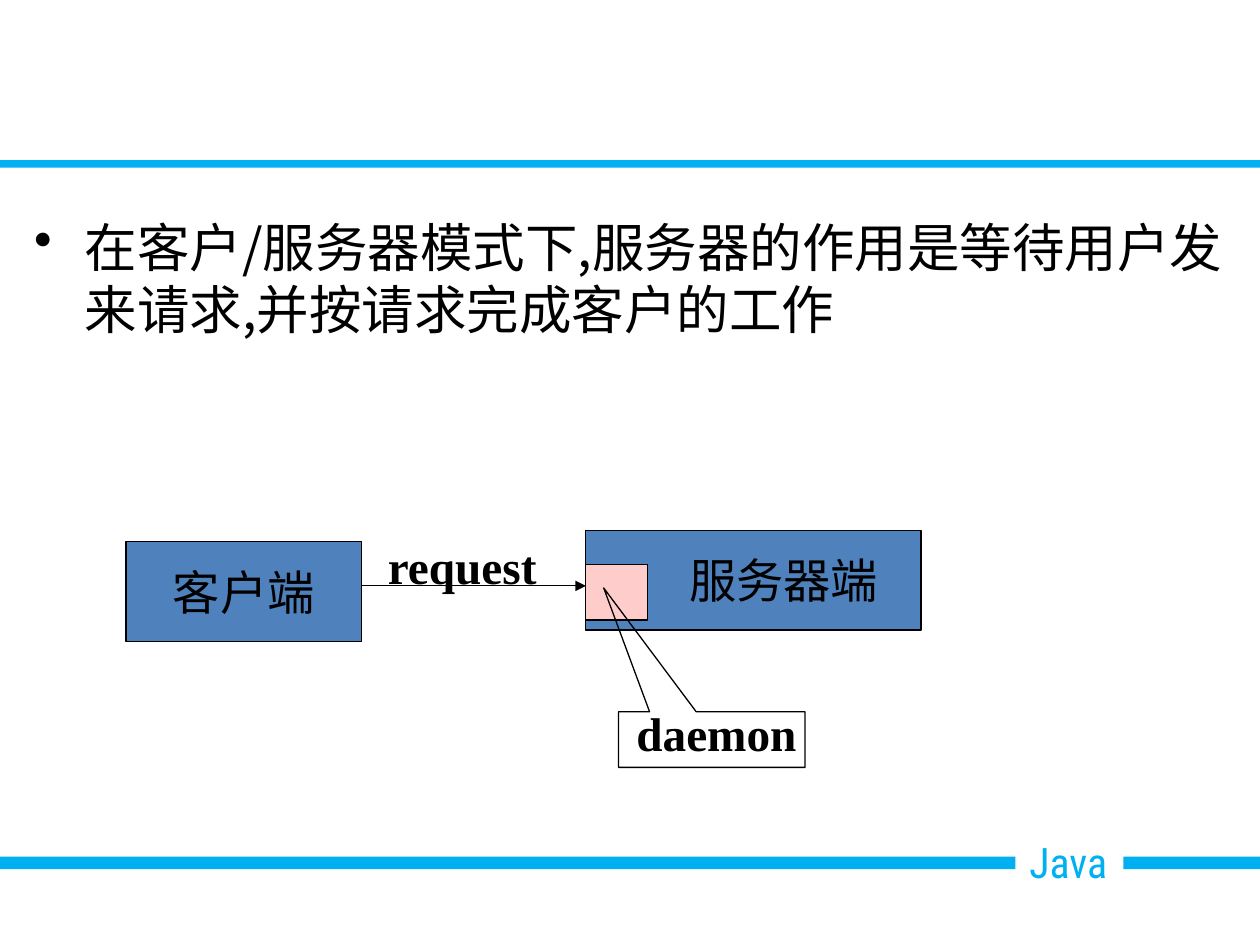
from lxml import etree
from pptx import Presentation
from pptx.dml.color import RGBColor
from pptx.enum.shapes import MSO_CONNECTOR, MSO_SHAPE
from pptx.enum.text import MSO_ANCHOR, PP_ALIGN
from pptx.oxml.ns import qn
from pptx.util import Cm, Pt

RECT = MSO_SHAPE.RECTANGLE
CALLOUT = MSO_SHAPE.RECTANGULAR_CALLOUT
STRAIGHT = MSO_CONNECTOR.STRAIGHT
MIDDLE = MSO_ANCHOR.MIDDLE
CENTER = PP_ALIGN.CENTER

COLORS = {"sky": "00B0F0", "blue": "4F81BD", "pink": "FFCCCC",
          "black": "000000", "white": "FFFFFF"}
SERIF = "Times New Roman"
SANS = "Noto Sans CJK SC"
LABEL = 27


def color(name):
    return RGBColor.from_string(COLORS[name])


def add_box(slide, at, fill=None, line=None, kind=RECT):
    box = slide.shapes.add_shape(kind, *map(Cm, at))
    box.shadow.inherit = False
    if fill:
        box.fill.solid()
        box.fill.fore_color.rgb = color(fill)
    else:
        box.fill.background()
    if line:
        box.line.color.rgb = color(line)
        box.line.width = Pt(0.75)
    else:
        box.line.fill.background()
    return box


def set_frame(shape, wrap=False, left=0.28):
    """Set the insets and wrapping, and return the first paragraph."""
    frame = shape.text_frame
    frame.word_wrap = wrap
    frame.margin_left, frame.margin_right = Cm(left), Cm(0.28)
    frame.margin_top = frame.margin_bottom = Cm(0.15)
    return frame.paragraphs[0]


def add_run(para, text, size, face=SERIF, bold=False, tint="black"):
    run = para.add_run()
    run.text = text
    font = run.font
    font.size, font.bold, font.name = Pt(size), bold, face
    font.color.rgb = color(tint)
    east = etree.SubElement(run._r.get_or_add_rPr(), qn("a:ea"))
    east.set("typeface", SANS)


def add_node(slide, at, text, left=0.28):
    """Add a blue box with its name centred to the right of the left inset."""
    node = add_box(slide, at, "blue", "black")
    para = set_frame(node, True, left)
    node.text_frame.vertical_anchor = MIDDLE
    para.alignment = CENTER
    add_run(para, text, LABEL)


def add_label(slide, at, text):
    box = slide.shapes.add_textbox(*map(Cm, at))
    add_run(set_frame(box), text, LABEL, bold=True)


def add_bullet(slide, at, text):
    box = slide.shapes.add_textbox(*map(Cm, at))
    para = set_frame(box, True)
    props = para._p.get_or_add_pPr()
    props.set("marL", str(Cm(1.02)))
    props.set("indent", str(Cm(-1.02)))
    mark = etree.SubElement(props, qn("a:buChar"))
    mark.set("char", "•")
    para.line_spacing = Pt(35.4)
    add_run(para, text, 30, SANS)


def add_arrow(slide, start, end):
    arrow = slide.shapes.add_connector(STRAIGHT, *map(Cm, start + end))
    arrow.line.color.rgb = color("black")
    arrow.line.width = Pt(0.75)
    head = etree.SubElement(arrow.line._get_or_add_ln(), qn("a:tailEnd"))
    head.set("type", "triangle")
    etree.SubElement(arrow._element.spPr, qn("a:effectLst"))


def add_frame(slide):
    """Add the two bars and the course tag at the foot."""
    add_box(slide, (0, 17.27, 25.4, 0.25), "sky")
    tag = add_box(slide, (20.47, 16.71, 2.18, 1.3), "white")
    tag.text_frame.vertical_anchor = MSO_ANCHOR.TOP
    para = set_frame(tag)
    para.alignment = PP_ALIGN.LEFT
    add_run(para, "Java", 24, "Roboto Condensed", tint="sky")
    add_box(slide, (0, 3.23, 25.4, 0.15), "sky")


def main():
    deck = Presentation()
    deck.slide_width, deck.slide_height = Cm(25.4), Cm(19.05)
    slide = deck.slides.add_slide(deck.slide_layouts[6])
    add_frame(slide)
    add_bullet(slide, (0.41, 4.2, 24.66, 11.25),
               "在客户/服务器模式下,服务器的作用是等待用户发来请求,并按请求完成客户的工作")

    add_node(slide, (2.54, 10.92, 4.75, 2.01), "客户端")
    add_node(slide, (11.81, 10.69, 6.76, 2.01), "服务器端", 1.5)
    add_box(slide, (11.81, 11.38, 1.24, 1.12), "pink", "black")
    add_arrow(slide, (7.29, 11.81), (11.81, 11.81))
    add_label(slide, (7.54, 10.69, 3.58, 1.42), "request")

    add_label(slide, (12.55, 14.05, 3.81, 1.42), "daemon")
    note = add_box(slide, (12.47, 14.35, 3.76, 1.12), None, "black", CALLOUT)
    note.adjustments[0], note.adjustments[1] = -0.58, -2.73
    deck.save("out.pptx")


if __name__ == "__main__":
    main()
